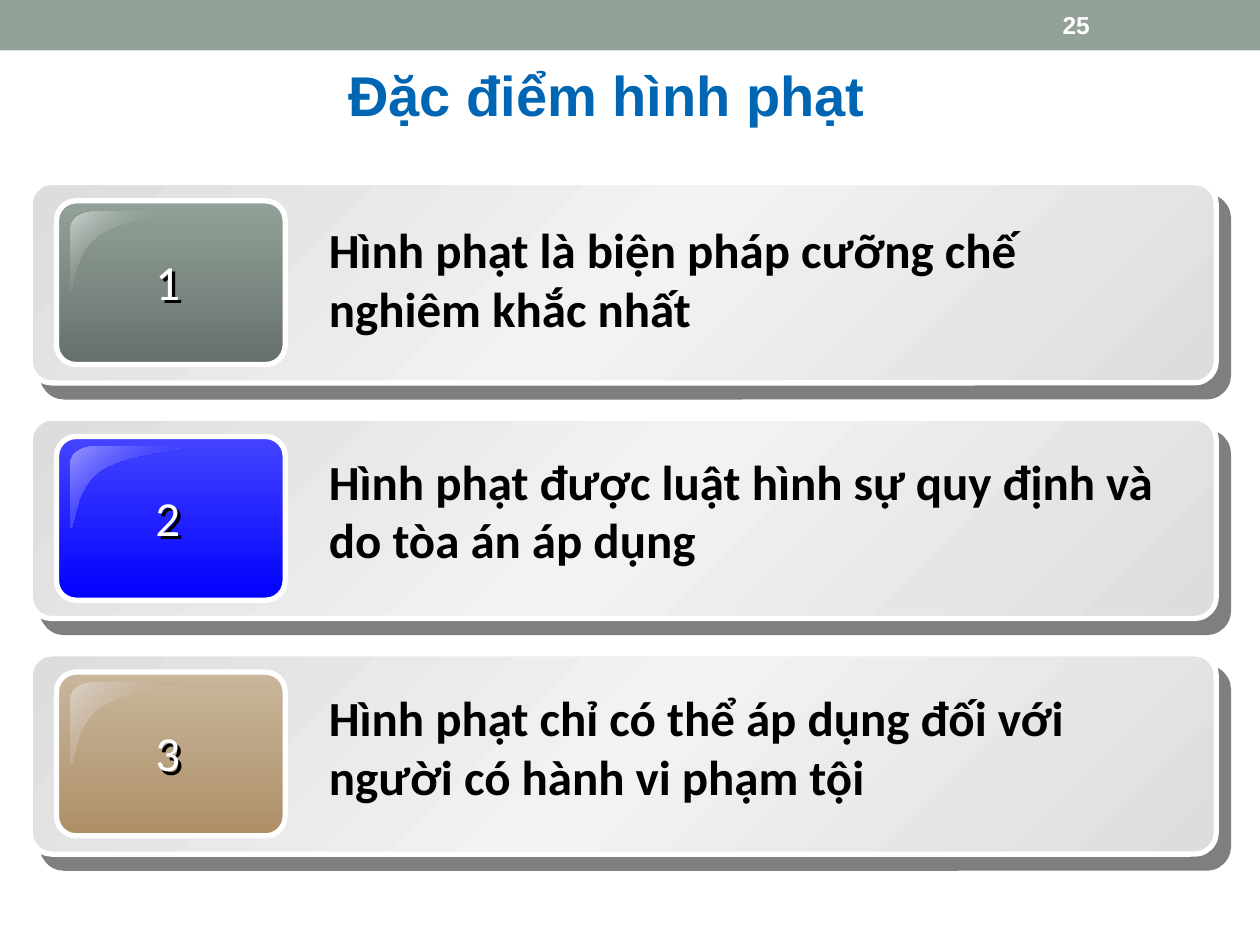
"""Build a slide listing three features of criminal punishment."""
from lxml.etree import SubElement
from pptx import Presentation
from pptx.dml.color import RGBColor
from pptx.enum.shapes import MSO_SHAPE as SHAPE
from pptx.enum.text import MSO_ANCHOR as ANCHOR, PP_ALIGN as ALIGN
from pptx.oxml.ns import qn
from pptx.util import Cm, Pt

WHITE = RGBColor(0xFF, 0xFF, 0xFF)
BLACK = RGBColor(0x00, 0x00, 0x00)
BLUE = RGBColor(0x00, 0x66, 0xB3)
SAGE = RGBColor(0x93, 0xA2, 0x99)
SAGE_DARK = RGBColor(0x66, 0x70, 0x6A)
SAGE_PALE = RGBColor(0xCD, 0xD3, 0xD0)
INDIGO = RGBColor(0x00, 0x00, 0xFF)
INDIGO_LIGHT = RGBColor(0x44, 0x44, 0xFF)
INDIGO_PALE = RGBColor(0x98, 0x98, 0xFF)
TAN = RGBColor(0xAD, 0x8F, 0x67)
TAN_LIGHT = RGBColor(0xC9, 0xB6, 0x9C)
TAN_PALE = RGBColor(0xDC, 0xD2, 0xC8)
GRAY = RGBColor(0xDD, 0xDD, 0xDD)
GRAY_LIGHT = RGBColor(0xF2, 0xF2, 0xF2)

TITLE = "Đặc điểm hình phạt"
PAGE = "25"
FEATURES = [
    ("Hình phạt là biện pháp cưỡng chế nghiêm khắc nhất", 0.62,
     [(0, SAGE), (100, SAGE_DARK)],
     [(0, SAGE_PALE), (50, SAGE, 0), (100, SAGE_PALE)]),
    ("Hình phạt được luật hình sự quy định và do tòa án áp dụng", 0.54,
     [(0, INDIGO_LIGHT), (100, INDIGO)],
     [(0, INDIGO_PALE), (100, INDIGO, 0)]),
    ("Hình phạt chỉ có thể áp dụng đối với người có hành vi phạm tội", 0.56,
     [(0, TAN_LIGHT), (100, TAN)],
     [(0, TAN_PALE), (100, TAN, 0)]),
]
PANEL = [(0, GRAY), (50, GRAY_LIGHT), (100, GRAY)]
TOP, PITCH = 3.68, 4.75
GLOSS_SIZE = (2.26, 1.65)
GLOSS = [
    ("moveTo", [(0.46, 0)]),
    ("cubicBezTo", [(0.2, 0), (0, 0.15), (0, 0.33)]),
    ("lnTo", [(0, 1.63)]),
    ("cubicBezTo", [(0.1, 1.65), (0.05, 0.84), (0.61, 0.48)]),
    ("cubicBezTo", [(1.19, 0.1), (2.28, 0.08), (2.26, 0)]),
    ("close", []),
]


def add_color(parent, color, alpha):
    clr = SubElement(parent, qn("a:srgbClr"), val=str(color))
    if alpha < 100:
        SubElement(clr, qn("a:alpha"), val=str(alpha * 1000))


def set_gradient(sp, stops, angle):
    sp.fill.gradient()
    grad = sp._element.spPr.find(qn("a:gradFill"))
    for child in list(grad):
        grad.remove(child)
    gs_list = SubElement(grad, qn("a:gsLst"))
    for pos, color, *alpha in stops:
        gs = SubElement(gs_list, qn("a:gs"), pos=str(pos * 1000))
        add_color(gs, color, alpha[0] if alpha else 100)
    SubElement(grad, qn("a:lin"), ang=str(angle * 60000), scaled="0")


def add_shadow(sp, dist, angle, alpha):
    effects = SubElement(sp._element.spPr, qn("a:effectLst"))
    shadow = SubElement(effects, qn("a:outerShdw"), dist=str(Pt(dist)),
                        dir=str(angle * 60000), algn="ctr", rotWithShape="0")
    add_color(shadow, BLACK, alpha)


def add_card(s, box, radius, stops, angle, shadow=None):
    sp = s.shapes.add_shape(SHAPE.ROUNDED_RECTANGLE, *map(Cm, box))
    sp.adjustments[0] = radius
    set_gradient(sp, stops, angle)
    sp.line.color.rgb = WHITE
    sp.line.width = Pt(3)
    if shadow:
        add_shadow(sp, *shadow)
    else:
        sp.shadow.inherit = False


def add_gloss(s, left, top, stops):
    width, height = map(Cm, GLOSS_SIZE)
    builder = s.shapes.build_freeform(0, 0)
    builder.add_line_segments([(width, 0), (width, height)])
    sp = builder.convert_to_shape(Cm(left), Cm(top))
    outline = next(sp._element.iter(qn("a:path")))
    for child in list(outline):
        outline.remove(child)
    for command, points in GLOSS:
        step = SubElement(outline, qn("a:" + command))
        for x, y in points:
            SubElement(step, qn("a:pt"), x=str(Cm(x)), y=str(Cm(y)))
    sp.shadow.inherit = False
    set_gradient(sp, stops, 45)
    sp.line.fill.background()


def add_text(s, box, text, size, font, color, bold=True, align=ALIGN.LEFT,
             anchor=ANCHOR.TOP, wrap=True):
    sp = s.shapes.add_textbox(*map(Cm, box))
    tf = sp.text_frame
    tf.word_wrap = wrap
    tf.vertical_anchor = anchor
    p = tf.paragraphs[0]
    p.text = text
    p.alignment = align
    p.font.name, p.font.size, p.font.bold = font, Pt(size), bold
    p.font.color.rgb = color
    return sp


def add_feature(s, number, top, text, text_offset, badge, gloss):
    add_card(s, (0.61, top, 23.91, 4.04), 0.109, PANEL, 45, shadow=(10.6, 49, 50))
    add_card(s, (1.14, top + 0.37, 4.61, 3.3), 0.119, badge, 90)
    add_gloss(s, 1.42, top + 0.58, gloss)
    label = add_text(s, (2.84, top + 1.27, 1.09, 1.45), str(number), 28, "Calibri",
                     WHITE, bold=False, align=ALIGN.CENTER, wrap=False)
    add_shadow(label, 2.5, 45, 100)
    add_text(s, (6.38, top + text_offset, 17.58, 2.64), text, 28, "Calibri", BLACK)


def main():
    prs = Presentation()
    prs.slide_width, prs.slide_height = Cm(25.4), Cm(19.05)
    s = prs.slides.add_slide(prs.slide_layouts[6])
    band = s.shapes.add_shape(SHAPE.RECTANGLE, 0, 0, prs.slide_width, Cm(1.02))
    band.shadow.inherit = False
    band.fill.solid()
    band.fill.fore_color.rgb = SAGE
    band.line.fill.background()
    add_text(s, (21.17, 0.05, 2.97, 0.91), PAGE, 14, "Arial", WHITE,
             anchor=ANCHOR.MIDDLE)
    title = add_text(s, (1.91, 0.43, 20.65, 3.12), TITLE, 32, "Arial", BLUE,
                     align=ALIGN.CENTER, anchor=ANCHOR.MIDDLE)
    title.text_frame.paragraphs[0].line_spacing = 0.9
    for i, feature in enumerate(FEATURES):
        add_feature(s, i + 1, TOP + i * PITCH, *feature)
    prs.save("out.pptx")


if __name__ == "__main__":
    main()
